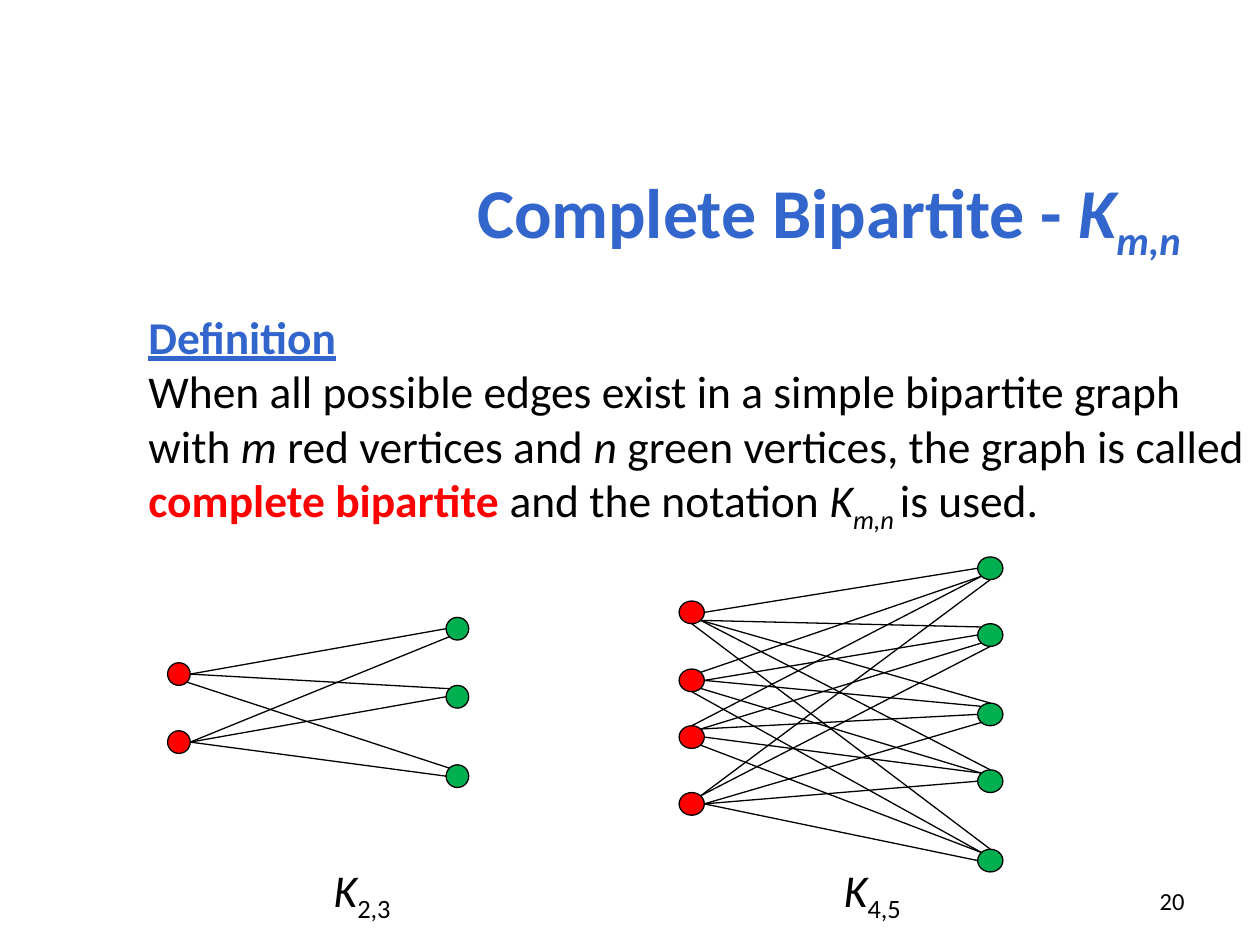
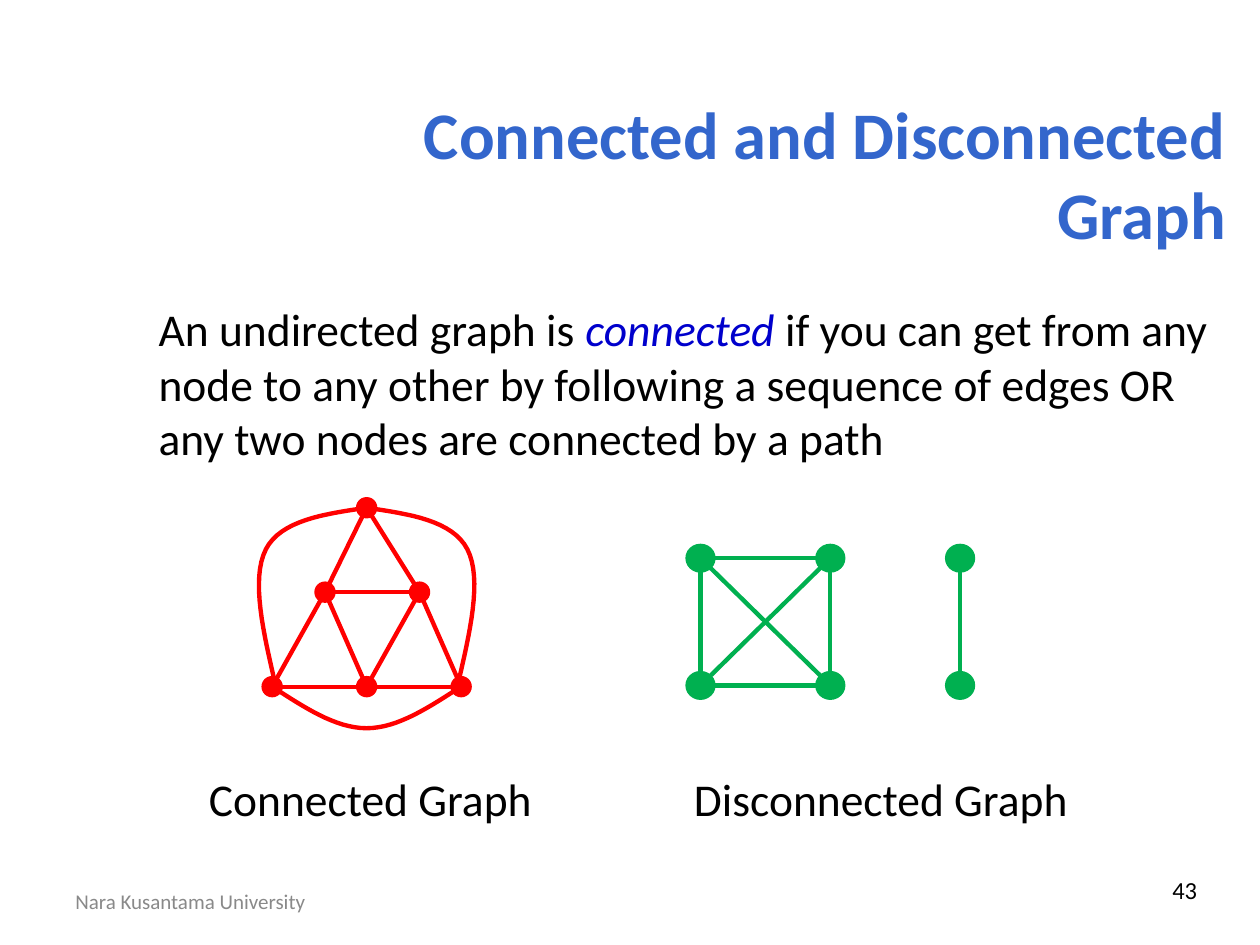
import pptx
import pptx.dml.color
import pptx.enum.shapes
import pptx.enum.text
import pptx.util
from pptx.oxml.ns import qn

RGBColor = pptx.dml.color.RGBColor
ALIGN = pptx.enum.text.PP_ALIGN
ANCHOR = pptx.enum.text.MSO_ANCHOR

PX = 9144  # EMU, 100 px to the inch
BLUE = RGBColor(0x33, 0x66, 0xCC)
DEEP_BLUE = RGBColor(0x00, 0x00, 0xCC)
RED = RGBColor(0xFF, 0x00, 0x00)
GREEN = RGBColor(0x00, 0xB0, 0x50)
BLACK = RGBColor(0x00, 0x00, 0x00)
GRAY = RGBColor(0x89, 0x89, 0x89)

ITALIC = {"italic": True}
SUBSCRIPT = {"baseline": -25}
ITALIC_SUBSCRIPT = {**ITALIC, **SUBSCRIPT}

COMPASS = {"N": (0, -1), "NE": (0.71, -0.71), "E": (1, 0), "SE": (0.71, 0.71),
           "S": (0, 1), "SW": (-0.71, 0.71), "W": (-1, 0), "NW": (-0.71, -0.71)}

# One row per red vertex, one entry per green vertex: the sides an edge joins.
K23_EDGES = ["E-W E-NW SE-NW",
             "E-SW E-W E-W"]
K45_EDGES = ["E-W SE-NW SE-N SE-N S-N",
             "NE-SW E-W E-NW SE-NW S-NW",
             "N-SW NE-SW NE-W E-NW SE-NW",
             "NE-S NE-S E-SW E-W E-W"]


def emu(*lengths):
    return [round(length * PX) for length in lengths]


def style_run(run, size=26, color=BLACK, bold=False, italic=False,
              underline=False, baseline=0):
    font = run.font
    font.name = "Calibri"
    font.size = pptx.util.Pt(size)
    font.color.rgb = color
    font.bold, font.italic, font.underline = bold, italic, underline
    if baseline:
        run._r.get_or_add_rPr().set("baseline", str(baseline * 1000))


def add_text(slide, box, *paragraphs, align=ALIGN.LEFT, anchor=ANCHOR.TOP, **style):
    """Each paragraph is a list of strings or (string, style changes) pairs."""
    frame = slide.shapes.add_textbox(*emu(*box)).text_frame
    frame.word_wrap = True
    frame.vertical_anchor = anchor
    for index, pieces in enumerate(paragraphs):
        paragraph = frame.add_paragraph() if index else frame.paragraphs[0]
        paragraph.alignment = align
        for piece in pieces:
            text, changes = (piece, {}) if isinstance(piece, str) else piece
            run = paragraph.add_run()
            run.text = text
            style_run(run, **{**style, **changes})


def add_title(slide, left, top, size, *lines):
    add_text(slide, (left, top, 900, 125), *lines, size=size, color=BLUE, bold=True,
             align=ALIGN.RIGHT, anchor=ANCHOR.MIDDLE)


def add_page_number(slide, box, number):
    add_text(slide, box, [number], size=14, align=ALIGN.RIGHT, anchor=ANCHOR.MIDDLE)


def add_vertex(slide, center, size, color, outline=None):
    (x, y), (width, height) = center, size
    vertex = slide.shapes.add_shape(
        pptx.enum.shapes.MSO_SHAPE.OVAL,
        *emu(x - width / 2, y - height / 2, width, height))
    vertex.shadow.inherit = False
    vertex.fill.solid()
    vertex.fill.fore_color.rgb = color
    if outline is None:
        vertex.line.fill.background()
    else:
        vertex.line.color.rgb = outline
        vertex.line.width = pptx.util.Pt(0.75)


def add_edge(slide, start, end, color=BLACK, width=0.75):
    edge = slide.shapes.add_connector(
        pptx.enum.shapes.MSO_CONNECTOR.STRAIGHT, *emu(*start, *end))
    edge.line.color.rgb = color
    edge.line.width = pptx.util.Pt(width)
    properties = edge._element.spPr
    properties.append(properties.makeelement(qn("a:effectLst"), {}))


def bezier(p0, p1, p2, p3, steps=16):
    for step in range(1, steps + 1):
        t = step / steps
        weights = ((1 - t) ** 3, 3 * t * (1 - t) ** 2, 3 * t * t * (1 - t), t ** 3)
        yield tuple(sum(w * p[axis] for w, p in zip(weights, (p0, p1, p2, p3)))
                    for axis in (0, 1))


def add_curved_edge(slide, points, color, width):
    """Draw joined cubic curves through points 0, 3, 6, ..."""
    outline = [point for first in range(0, len(points) - 1, 3)
               for point in bezier(*points[first:first + 4])]
    builder = slide.shapes.build_freeform(*emu(*points[0]), scale=1.0)
    builder.add_line_segments([emu(*point) for point in outline], close=False)
    curve = builder.convert_to_shape()
    curve.shadow.inherit = False
    curve.fill.background()
    curve.line.color.rgb = color
    curve.line.width = pptx.util.Pt(width)


def add_bipartite(slide, reds, greens, size, edges):
    def side(center, name):
        return [c + d * s / 2 for c, d, s in zip(center, COMPASS[name], size)]

    for red, row in zip(reds, edges):
        for green, sides in zip(greens, row.split()):
            red_side, green_side = sides.split("-")
            add_edge(slide, side(red, red_side), side(green, green_side))
    for centers, color in ((reds, RED), (greens, GREEN)):
        for center in centers:
            add_vertex(slide, center, size, color, BLACK)


def add_graph(slide, vertices, edges, size, color, outline=None):
    """Vertices are named by one letter, and edges by two."""
    for center in vertices.values():
        add_vertex(slide, center, size, color, outline)
    for start, end in edges.split():
        add_edge(slide, vertices[start], vertices[end], color, 2.5)


def build_complete_bipartite(slide):
    add_title(slide, 47, 109, 40, ["Complete Bipartite - ", ("K", ITALIC),
                                   ("m,n", ITALIC_SUBSCRIPT)])
    add_text(slide, (108, 240, 900, 200),
             [("Definition", {"color": BLUE, "bold": True, "underline": True})],
             ["When all possible edges exist in a simple bipartite graph with ",
              ("m", ITALIC), " red vertices and ", ("n ", ITALIC),
              "green vertices, the graph is called ",
              ("complete bipartite ", {"color": RED, "bold": True}),
              "and the notation ", ("K", ITALIC), ("m,n ", ITALIC_SUBSCRIPT),
              "is used."])
    add_bipartite(slide, [(142, y) for y in (535, 589)],
                  [(363, y) for y in (499, 553, 616)], (18, 18), K23_EDGES)
    add_bipartite(slide, [(549, y) for y in (486, 540, 585, 638)],
                  [(786, y) for y in (451, 504, 567, 620, 683)], (20, 18), K45_EDGES)
    for left, order in ((255, "2,3"), (660, "4,5")):
        add_text(slide, (left, 679, 100, 55), [("K", ITALIC), (order, SUBSCRIPT)])
    add_page_number(slide, (717, 695, 233, 40), "20")


def build_connectivity(slide):
    add_title(slide, 83, 75, 38, ["Connected and Disconnected"], ["Graph"])
    add_text(slide, (116, 234, 859, 140),
             ["An undirected graph is ",
              ("connected", {"color": DEEP_BLUE, "italic": True}),
              " if you can get from any node to any other by following a sequence"
              " of edges OR any two nodes are connected by a path"])

    axis = 291
    triangle = {"a": (axis, 403), "b": (258, 470), "c": (333, 470),
                "d": (216, 545), "e": (axis, 545), "f": (366, 545)}
    add_graph(slide, triangle, "ac cf be bc ab bd de ef ce", (17, 17), RED)
    right_arc = [(axis, 403), (325, 408), (359, 413), (371, 436),
                 (383, 460), (373, 502), (363, 545)]
    left_arc = [(2 * axis - x, y) for x, y in right_arc]
    bottom_arc = [(216, 545), (241, 561), (266, 578), (axis, 578),
                  (316, 578), (341, 561), (366, 545)]
    for arc in (right_arc, left_arc, bottom_arc):
        add_curved_edge(slide, arc, RED, 2.5)

    columns, rows = (556, 659, 762), (443, 544)
    square_and_pair = dict(zip("abcdef", [(x, y) for x in columns for y in rows]))
    add_graph(slide, square_and_pair, "ab cd ef ac bd ad bc", (23, 22), GREEN, GREEN)

    for left, caption in ((156, "Connected Graph"), (541, "Disconnected Graph")):
        add_text(slide, (left, 607, 340, 55), [caption])
    add_text(slide, (50, 695, 233, 40), ["Nara Kusantama University"],
             size=12, color=GRAY, anchor=ANCHOR.MIDDLE)
    add_page_number(slide, (727, 680, 233, 52), "43")


def main():
    deck = pptx.Presentation()
    deck.slide_width, deck.slide_height = emu(1000, 750)
    for build in (build_complete_bipartite, build_connectivity):
        build(deck.slides.add_slide(deck.slide_layouts[6]))
    deck.save("out.pptx")


if __name__ == "__main__":
    main()
